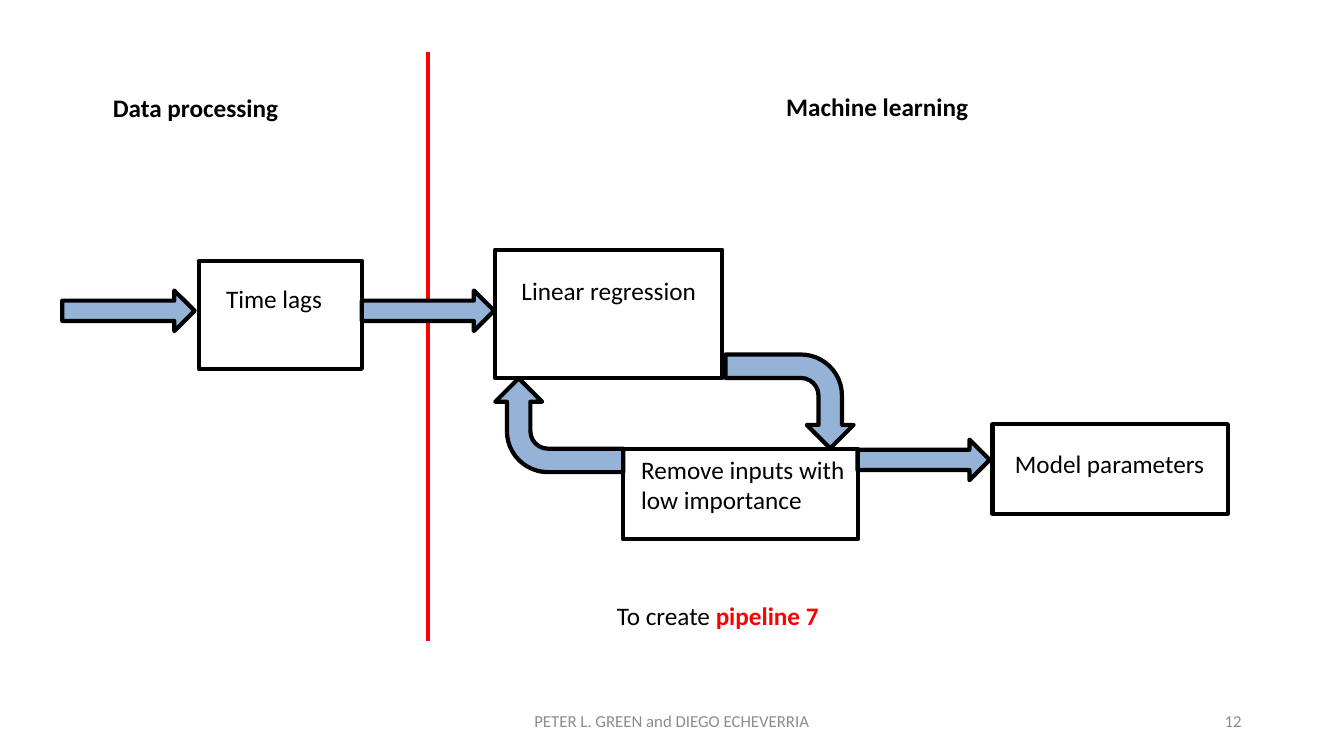
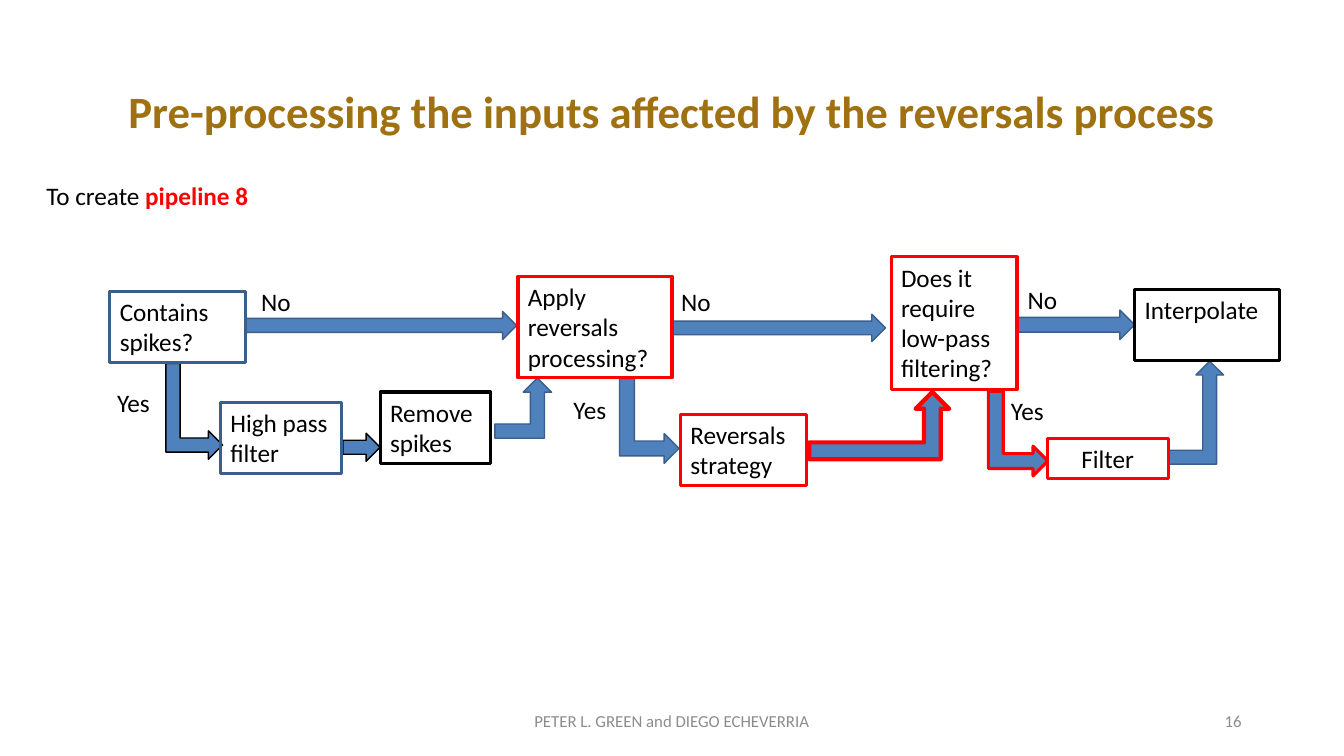
from lxml import etree
from pptx import Presentation
from pptx.dml.color import RGBColor
from pptx.enum.shapes import MSO_CONNECTOR, MSO_SHAPE
from pptx.enum.text import MSO_ANCHOR, PP_ALIGN
from pptx.oxml.ns import qn
from pptx.util import Pt

RECT, RIGHT = MSO_SHAPE.RECTANGLE, MSO_SHAPE.RIGHT_ARROW
BENT, BENT_UP = MSO_SHAPE.BENT_ARROW, MSO_SHAPE.BENT_UP_ARROW
STRAIGHT = MSO_CONNECTOR.STRAIGHT
TOP, MIDDLE = MSO_ANCHOR.TOP, MSO_ANCHOR.MIDDLE
LEFT, CENTER, FLUSH = PP_ALIGN.LEFT, PP_ALIGN.CENTER, PP_ALIGN.RIGHT

FONT = "Calibri"
INK = {"black": "000000", "red": "FF0000", "gold": "A07111", "gray": "8C8C8C",
       "pale": "95B3D7", "blue": "4F81BD", "navy": "3A5F8C"}
AUTHORS = "PETER L. GREEN and DIEGO ECHEVERRIA"


def rgb(name):
    """Return the named colour."""
    return RGBColor.from_string(INK[name])


def pts(box):
    """Turn a box of numbers into point lengths."""
    return [Pt(n) for n in box]


def shift(box, by):
    """Move a box by the origin of another."""
    return (box[0] + by[0], box[1] + by[1], *box[2:])


def style(par, size=18, color="black", bold=False, align=LEFT):
    """Set the font and alignment of a paragraph."""
    par.alignment = align
    par.font.name, par.font.size, par.font.bold = FONT, Pt(size), bold
    par.font.color.rgb = rgb(color)


def write(frame, text, anchor=TOP, **look):
    """Fill a text frame, one paragraph per line."""
    frame.word_wrap, frame.vertical_anchor = True, anchor
    frame.text = text
    for par in frame.paragraphs:
        style(par, **look)


def label(slide, box, text, **look):
    """Add a text box and return its frame."""
    frame = slide.shapes.add_textbox(*pts(box)).text_frame
    write(frame, text, **look)
    return frame


def shape(slide, kind, box, line, width, fill=None, turn=0):
    """Add an outlined preset shape."""
    item = slide.shapes.add_shape(kind, *pts(box))
    item.shadow.inherit = False
    item.rotation = turn
    item.line.color.rgb, item.line.width = rgb(line), Pt(width)
    if fill:
        item.fill.solid()
        item.fill.fore_color.rgb = rgb(fill)
    else:
        item.fill.background()
    return item


def node(slide, box, text, line, width, inset=(7.2, 3.6), align=LEFT):
    """Add an outlined box with text at an inset."""
    frame = shape(slide, RECT, box, line, width).text_frame
    frame.margin_left, frame.margin_top = pts(inset)
    frame.margin_right = Pt(7.2 if align == CENTER else 0)
    write(frame, text, align=align)


def rule(slide, x, top, end):
    """Add the red upright divider."""
    line = slide.shapes.add_connector(STRAIGHT, *pts((x, top, x, end)))
    line.line.color.rgb, line.line.width = rgb("red"), Pt(3)
    etree.SubElement(line._element.spPr, qn("a:effectLst"))


def target(slide, box, name):
    """Add the line naming the pipeline."""
    par = label(slide, box, "To create ").paragraphs[0]
    run = par.add_run()
    run.text, run.font.bold = name, True
    run.font.color.rgb = rgb("red")


def title(slide, box, text):
    """Add the slide title."""
    frame = label(slide, box, text, anchor=MIDDLE, size=32, color="gold",
                  bold=True, align=CENTER)
    frame.paragraphs[0].line_spacing = 0.9


def footer(slide, box, number):
    """Add the authors and the slide number."""
    x, y, wide, high = box
    for left, width, text, align in ((x, 324, AUTHORS, CENTER),
                                     (x + wide - 216, 216, number, FLUSH)):
        label(slide, (left, y, width, high), text, anchor=MIDDLE, size=12,
              color="gray", align=align)


def model(slide, area):
    """Draw the regression loop inside the area."""
    for x, y in ((0.5, 29.5), (214.5, 29.5), (568.5, 136)):
        shape(slide, RIGHT, shift((x, y, 94.5, 29), area), "black", 3, "pale")
    for x, y, turn in ((486.5, 63, 90), (322, 80, 270)):
        shape(slide, BENT, shift((x, y, 67, 91.5), area), "black", 3, "pale", turn)
    for box, text, inset in (
            ((98, 8.5, 116.5, 77), "Time lags", (19.5, 16)),
            ((309.5, 0.5, 162.5, 91.5), "Linear regression", (19, 18)),
            ((401, 143, 168, 64), "Remove inputs with low importance", (13, 3.6)),
            ((665, 125, 168, 64), "Model parameters", (16, 17))):
        node(slide, shift(box, area), text, "black", 3, inset)


def clean(slide, area):
    """Draw the cleaning decisions inside the area."""
    for kind, box, line, width, turn in (
            (RIGHT, (97, 39.5, 194, 20), "navy", 1, 0),
            (RIGHT, (402, 41.5, 152.5, 19.5), "navy", 1, 0),
            (RIGHT, (649, 38.5, 83.5, 21), "navy", 1, 0),
            (RIGHT, (167, 126.5, 26.5, 20), "black", 1, 0),
            (BENT_UP, (26.5, 90.5, 68.5, 40.5), "black", 1, 90),
            (BENT_UP, (355.5, 96.5, 60.5, 42.5), "navy", 1, 90),
            (BENT_UP, (619, 105.5, 60.5, 42.5), "red", 2.25, 90),
            (BENT_UP, (275.5, 87, 40.5, 43), "navy", 1, 0),
            (BENT_UP, (500, 97, 100, 48), "red", 3, 0),
            (BENT_UP, (756.5, 75, 39.5, 73.5), "navy", 1, 0)):
        shape(slide, kind, shift(box, area), line, width, "blue", turn)
    for box, text, line in (
            ((0.5, 25, 97, 51), "Contains spikes?", "navy"),
            ((79.5, 104.5, 86.5, 51), "High pass filter", "navy"),
            ((193.5, 97, 79, 51), "Remove spikes", "black"),
            ((292, 14.5, 110, 72.5), "Apply reversals processing?", "red"),
            ((408, 113, 90, 51), "Reversals\nstrategy", "red"),
            ((558.5, 0.5, 90, 94.5), "Does it require low-pass filtering?", "red"),
            ((732.5, 23.5, 103.5, 51), "Interpolate", "black")):
        node(slide, shift(box, area), text, line, 2.25)
    node(slide, shift((670, 130, 86.5, 29), area), "Filter", "red", 2.25,
         align=CENTER)
    for text, spots in (("Yes", ((-1.5, 90), (324.5, 95), (637, 95.5))),
                        ("No", ((101.5, 18), (401.5, 18), (649, 16.5)))):
        for x, y in spots:
            label(slide, shift((x, y, 54, 29), area), text)


def main():
    """Build and save the deck."""
    deck = Presentation()
    deck.slide_width, deck.slide_height = Pt(960), Pt(540)
    first, second = [deck.slides.add_slide(deck.slide_layouts[6])
                     for _ in range(2)]
    for slide, number in ((first, "12"), (second, "16")):
        footer(slide, (318, 500.5, 576, 29), number)

    rule(first, 306, 37, 458)
    label(first, (73.5, 62.5, 199.5, 29), "Data processing", bold=True)
    label(first, (554.5, 62, 199.5, 29), "Machine learning", bold=True)
    model(first, (44, 178, 834, 208))
    target(first, (433.5, 425.5, 339, 29), "pipeline 7")

    title(second, (66, 29, 828, 104.5), "Pre-processing the inputs affected "
          "by the reversals process")
    target(second, (26, 125.5, 319.5, 29), "pipeline 8")
    clean(second, (78, 183, 836, 164))
    deck.save("out.pptx")


if __name__ == "__main__":
    main()
